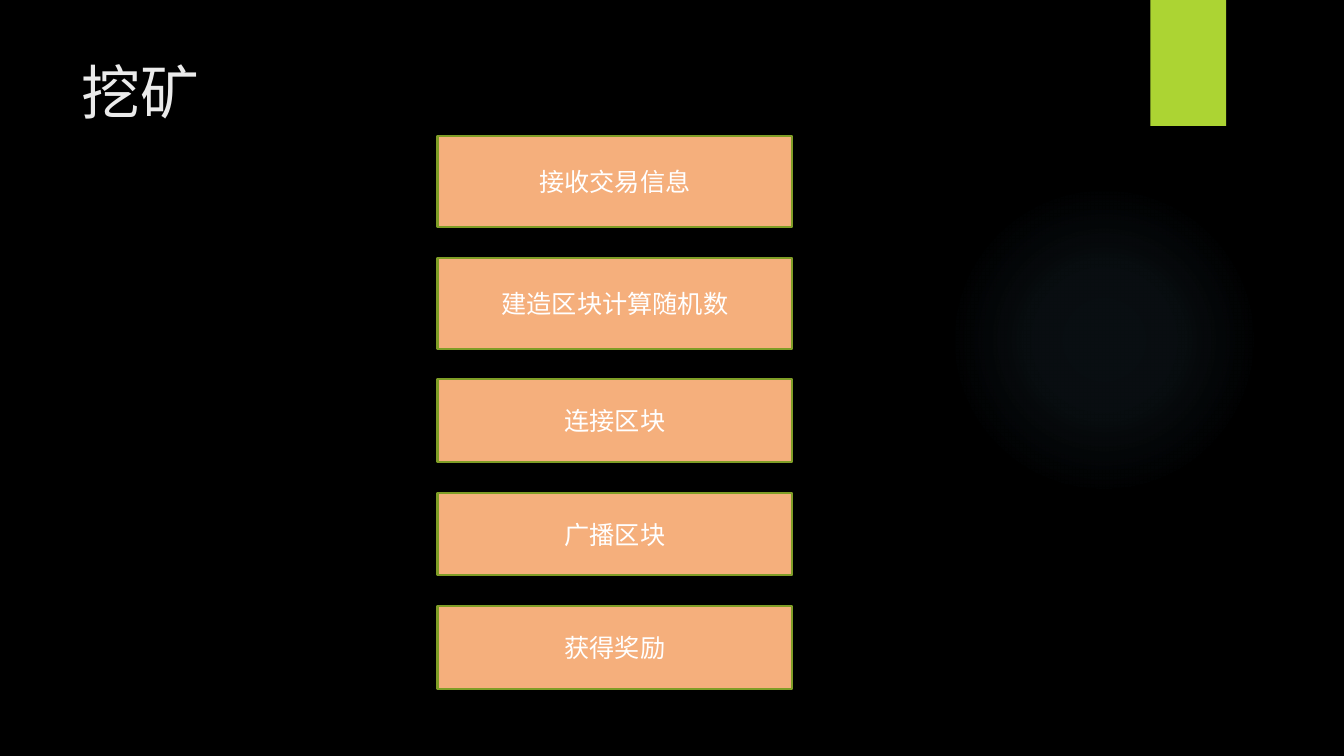
from dataclasses import dataclass

import lxml.etree
import pptx
import pptx.dml.color
import pptx.enum.shapes
import pptx.enum.text
import pptx.oxml
import pptx.oxml.ns
import pptx.util

Pt = pptx.util.Pt
RGB = pptx.dml.color.RGBColor.from_string
MSO_SHAPE = pptx.enum.shapes.MSO_SHAPE
PP_ALIGN = pptx.enum.text.PP_ALIGN
MSO_ANCHOR = pptx.enum.text.MSO_ANCHOR
qn = pptx.oxml.ns.qn
NS = pptx.oxml.ns.nsdecls("a")


@dataclass(frozen=True)
class Theme:
    font: str = "Quicksand"
    title_size: float = 42
    step_size: float = 18
    background: str = "000000"
    title: str = "EBEBEB"
    glow: str = "7AC4F0"
    accent: str = "ACD433"
    step_fill: str = "F5AF7C"
    step_line: str = "7F9D26"
    step_text: str = "FFFFFF"


@dataclass(frozen=True)
class Step:
    text: str
    height: float


THEME = Theme()
STEPS = [
    Step("接收交易信息", 65),
    Step("建造区块计算随机数", 65),
    Step("连接区块", 59),
    Step("广播区块", 59),
    Step("获得奖励", 59),
]
STEP_LEFT, STEP_TOP, STEP_WIDTH, STEP_GAP = 312.5, 97, 253.5, 22
GLOW_STOPS = [(0, 7), (36, 6), (69, 0)]  # position and opacity, percent


def add_plain_shape(s, kind, left: float, top: float, width: float, height: float):
    """Add a shape without line or shadow."""
    sp = s.shapes.add_shape(kind, Pt(left), Pt(top), Pt(width), Pt(height))
    sp.shadow.inherit = False
    sp.line.fill.background()
    return sp


def format_text(p, size: float, color: str, align) -> None:
    """Style a paragraph's runs, for Latin and East Asian glyphs alike."""
    p.alignment = align
    for r in p.runs:
        r.font.size = Pt(size)
        r.font.name = THEME.font
        r.font.color.rgb = RGB(color)
        ea = lxml.etree.Element(qn("a:ea"), typeface=THEME.font)
        r.font._element.find(qn("a:latin")).addnext(ea)


def add_glow(s) -> None:
    sp = add_plain_shape(s, MSO_SHAPE.OVAL, 677.5, 131.75, 221.75, 221.75)
    sp.fill.background()
    stops = "".join(
        f'<a:gs pos="{pos * 1000}"><a:srgbClr val="{THEME.glow}">'
        f'<a:alpha val="{alpha * 1000}"/></a:srgbClr></a:gs>'
        for pos, alpha in GLOW_STOPS
    )
    gradient = pptx.oxml.parse_xml(
        f'<a:gradFill {NS}><a:gsLst>{stops}</a:gsLst><a:path path="circle">'
        '<a:fillToRect l="50000" t="50000" r="50000" b="50000"/></a:path></a:gradFill>'
    )
    sp_pr = sp._element.spPr
    sp_pr.replace(sp_pr.find(qn("a:noFill")), gradient)


def add_accent_tab(s) -> None:
    sp = add_plain_shape(s, MSO_SHAPE.RECTANGLE, 821.75, 0, 54, 90)
    sp.fill.solid()
    sp.fill.fore_color.rgb = RGB(THEME.accent)
    shadow = pptx.oxml.parse_xml(
        f'<a:outerShdw {NS} blurRad="{Pt(3)}" dist="{Pt(2)}" dir="5400000">'
        '<a:srgbClr val="000000"><a:alpha val="45000"/></a:srgbClr></a:outerShdw>'
    )
    sp._element.spPr.find(qn("a:effectLst")).append(shadow)


def set_title(s, text: str) -> None:
    sp = s.shapes.title
    sp.left, sp.top, sp.width, sp.height = Pt(51), Pt(36), Pt(741), Pt(110)
    tf = sp.text_frame
    tf.text = text
    tf.vertical_anchor = MSO_ANCHOR.TOP
    format_text(tf.paragraphs[0], THEME.title_size, THEME.title, PP_ALIGN.LEFT)


def add_step(s, step: Step, top: float) -> None:
    sp = add_plain_shape(s, MSO_SHAPE.RECTANGLE, STEP_LEFT, top, STEP_WIDTH, step.height)
    sp.fill.solid()
    sp.fill.fore_color.rgb = RGB(THEME.step_fill)
    sp.line.color.rgb = RGB(THEME.step_line)
    sp.line.width = Pt(1.5)
    tf = sp.text_frame
    tf.text = step.text
    tf.vertical_anchor = MSO_ANCHOR.MIDDLE
    format_text(tf.paragraphs[0], THEME.step_size, THEME.step_text, PP_ALIGN.CENTER)


def main() -> None:
    prs = pptx.Presentation()
    prs.slide_width, prs.slide_height = Pt(960), Pt(540)
    s = prs.slides.add_slide(prs.slide_layouts[5])
    s.background.fill.solid()
    s.background.fill.fore_color.rgb = RGB(THEME.background)

    add_glow(s)
    add_accent_tab(s)
    set_title(s, "挖矿")
    top = STEP_TOP
    for step in STEPS:
        add_step(s, step, top)
        top += step.height + STEP_GAP
    prs.save("out.pptx")


if __name__ == "__main__":
    main()
